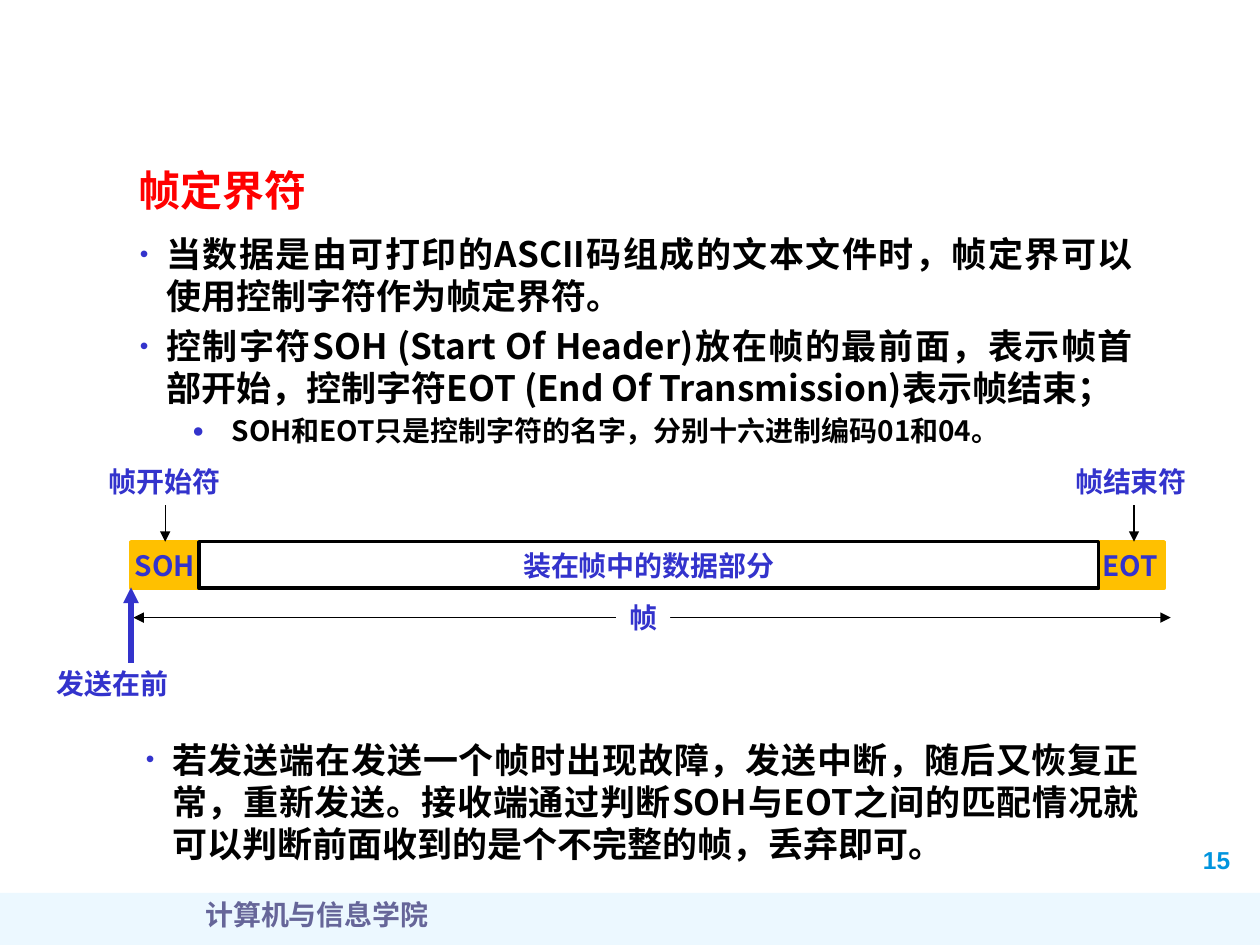
from lxml.etree import SubElement
from pptx import Presentation
from pptx.dml.color import RGBColor
from pptx.enum.shapes import MSO_CONNECTOR, MSO_SHAPE
from pptx.enum.text import MSO_ANCHOR, PP_ALIGN
from pptx.oxml.ns import qn
from pptx.util import Cm, Pt

COLORS = {
    "band": "A7E2FF", "number": "0094DE", "footer": "666699", "blue": "3333CC",
    "amber": "FFC000", "red": "FF0000", "black": "000000", "white": "FFFFFF",
}
CJK_FONT = "Noto Sans CJK SC"


def color(name):
    return RGBColor.from_string(COLORS[name])


def write_text(paragraph, text, size=16, ink="blue", font=CJK_FONT, align=PP_ALIGN.CENTER):
    paragraph.alignment = align
    run = paragraph.add_run()
    run.text = text
    run.font.size = Pt(size)
    run.font.bold = True
    run.font.color.rgb = color(ink)
    run.font.name = font
    SubElement(run.font._element, qn("a:ea"), typeface=CJK_FONT)


def add_bullet(paragraph, character, margin, indent):
    properties = paragraph._p.get_or_add_pPr()
    properties.set("marL", str(Cm(margin)))
    properties.set("indent", str(Cm(-indent)))
    bullet_color = SubElement(properties, qn("a:buClr"))
    SubElement(bullet_color, qn("a:srgbClr"), val=COLORS["blue"])
    SubElement(properties, qn("a:buSzPct"), val="70000")
    SubElement(properties, qn("a:buFont"), typeface="Arial")
    SubElement(properties, qn("a:buChar"), char=character)


class SlideBuilder:
    # Per level: bullet, margin, indent, text size, line pitch, space before
    LEVELS = [("•", 0.53, 0.53, 20, 24, 4.5), ("●", 1.85, 0.79, 16, 19, 3)]

    def __init__(self, slide):
        self.slide = slide

    def title(self, text, left, top, width, height):
        shape = self.slide.shapes.title
        shape.left, shape.top = Cm(left), Cm(top)
        shape.width, shape.height = Cm(width), Cm(height)
        shape.text_frame.vertical_anchor = MSO_ANCHOR.MIDDLE
        write_text(shape.text_frame.paragraphs[0], text, size=24, ink="red",
                   font="Arial", align=PP_ALIGN.LEFT)

    def box(self, left, top, width, height, fill, line=None, text=None, opacity=None):
        shape = self.slide.shapes.add_shape(
            MSO_SHAPE.RECTANGLE, Cm(left), Cm(top), Cm(width), Cm(height))
        shape.shadow.inherit = False
        shape.fill.solid()
        shape.fill.fore_color.rgb = color(fill)
        if opacity:
            fill_color = shape._element.spPr.find(".//" + qn("a:srgbClr"))
            SubElement(fill_color, qn("a:alpha"), val=str(opacity * 1000))
        if line:
            shape.line.color.rgb = color(line)
            shape.line.width = Pt(2)
        else:
            shape.line.fill.background()
        if text:
            shape.text_frame.word_wrap = False
            shape.text_frame.vertical_anchor = MSO_ANCHOR.MIDDLE
            write_text(shape.text_frame.paragraphs[0], text)

    def label(self, text, left, top, width=2.82, height=0.94, **style):
        shape = self.slide.shapes.add_textbox(Cm(left), Cm(top), Cm(width), Cm(height))
        shape.text_frame.word_wrap = False
        shape.text_frame.vertical_anchor = MSO_ANCHOR.MIDDLE
        write_text(shape.text_frame.paragraphs[0], text, **style)

    def bullets(self, items, left, top, width, height):
        shape = self.slide.shapes.add_textbox(Cm(left), Cm(top), Cm(width), Cm(height))
        frame = shape.text_frame
        frame.word_wrap = True
        for index, (level, text) in enumerate(items):
            character, margin, indent, size, pitch, before = self.LEVELS[level]
            paragraph = frame.add_paragraph() if index else frame.paragraphs[0]
            paragraph.level = level
            add_bullet(paragraph, character, margin, indent)
            paragraph.line_spacing = Pt(pitch)
            paragraph.space_before = Pt(before if index else 0)
            write_text(paragraph, text, size=size, ink="black", align=PP_ALIGN.JUSTIFY)

    def arrow(self, x1, y1, x2, y2, ink="black", width=0.75, both_ends=False):
        connector = self.slide.shapes.add_connector(
            MSO_CONNECTOR.STRAIGHT, Cm(x1), Cm(y1), Cm(x2), Cm(y2))
        connector.line.color.rgb = color(ink)
        connector.line.width = Pt(width)
        line = connector.line._get_or_add_ln()
        if both_ends:
            SubElement(line, qn("a:headEnd"), type="triangle")
        SubElement(line, qn("a:tailEnd"), type="triangle")
        SubElement(connector._element.spPr, qn("a:effectLst"))


def main():
    presentation = Presentation()
    presentation.slide_width, presentation.slide_height = Cm(25.4), Cm(19.05)
    slide = presentation.slides.add_slide(presentation.slide_layouts[5])
    builder = SlideBuilder(slide)

    # Footer band and page number
    builder.box(0, 18, 25.4, 1.05, "band", opacity=21)
    builder.label("15", 24, 16.92, 1.5, 0.84, size=14, ink="number", font="Arial",
                  align=PP_ALIGN.LEFT)
    builder.label("计算机与信息学院", 0.69, 17.96, 11.4, ink="footer",
                  font="Times New Roman")

    # Title and explanation
    builder.title("帧定界符", 2.54, 3.18, 4.34, 1.27)
    builder.bullets([
        (0, "当数据是由可打印的ASCII码组成的文本文件时，帧定界可以使用控制字符作为帧定界符。"),
        (0, "控制字符SOH (Start Of Header)放在帧的最前面，表示帧首部开始，"
            "控制字符EOT (End Of Transmission)表示帧结束；"),
        (1, "SOH和EOT只是控制字符的名字，分别十六进制编码01和04。"),
    ], 2.57, 4.57, 20.52, 4.67)

    # Frame: start mark, data, end mark
    frame_top, frame_height = 10.92, 0.94
    for text, left in (("SOH", 2.64), ("EOT", 22.1)):
        builder.box(left, frame_top, 1.37, frame_height, "amber", "amber", text)
    builder.box(4.01, frame_top, 18.14, frame_height, "white", "black", "装在帧中的数据部分")

    # Frame length
    builder.arrow(2.69, 12.45, 23.6, 12.45, both_ends=True)
    builder.box(12.42, 11.98, 1.09, 0.94, "white", text="帧")

    # Marks pointing at the frame
    for text, left, arrow_x in (("帧开始符", 1.91, 3.33), ("帧结束符", 21.39, 22.86)):
        builder.label(text, left, 9.24)
        builder.arrow(arrow_x, 10.19, arrow_x, frame_top)
    builder.arrow(2.64, 13.36, 2.64, 11.84, ink="blue", width=3)
    builder.label("发送在前", 0.86, 13.31)

    # Closing remark
    builder.bullets([
        (0, "若发送端在发送一个帧时出现故障，发送中断，随后又恢复正常，重新发送。"
            "接收端通过判断SOH与EOT之间的匹配情况就可以判断前面收到的是个不完整的帧，丢弃即可。"),
    ], 2.69, 14.76, 20.52, 2.82)

    presentation.save("out.pptx")


if __name__ == "__main__":
    main()
